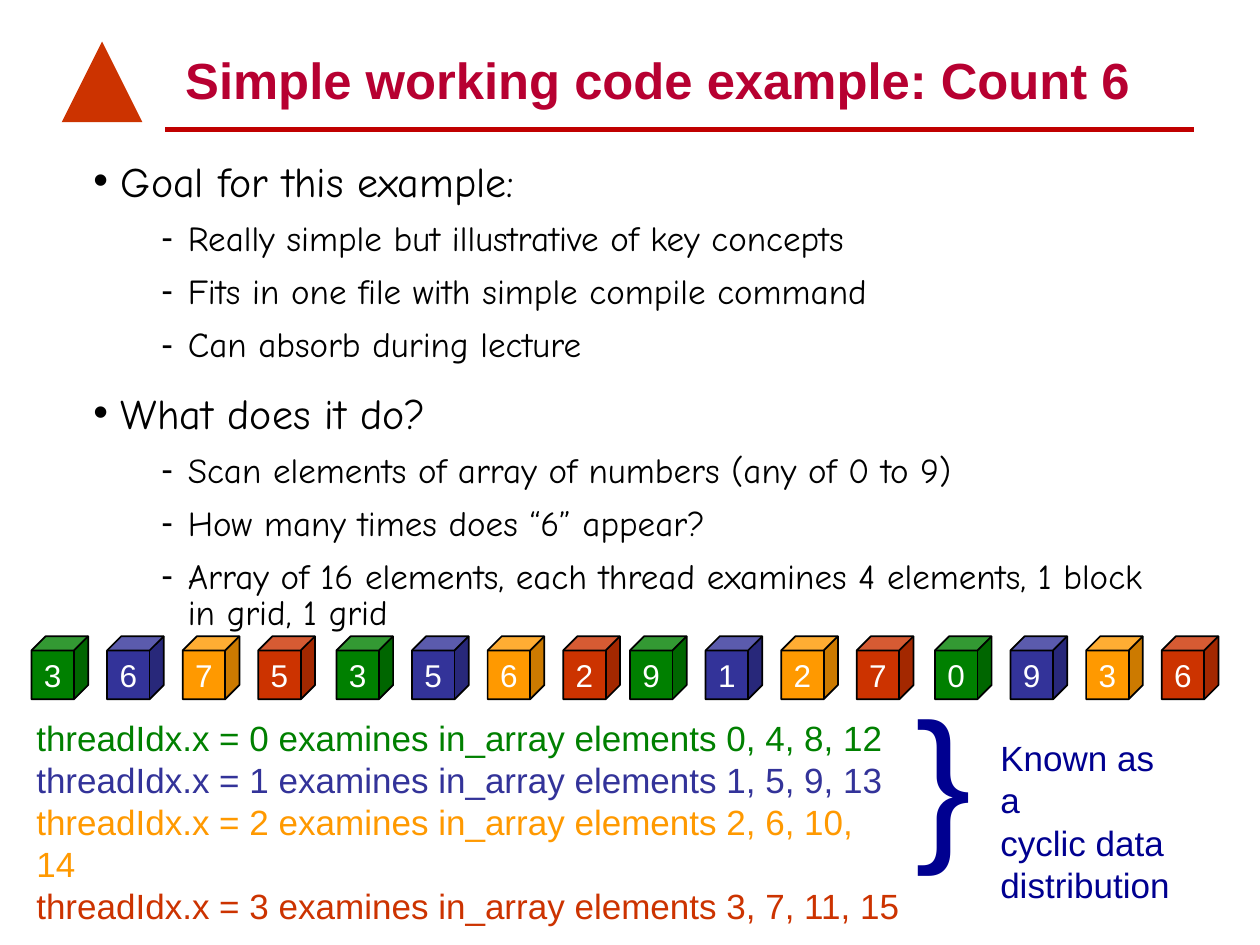
from lxml import etree
from pptx import Presentation
from pptx.dml.color import RGBColor
from pptx.enum.shapes import MSO_CONNECTOR, MSO_SHAPE
from pptx.enum.text import MSO_ANCHOR, MSO_AUTO_SIZE, PP_ALIGN
from pptx.oxml.ns import qn
from pptx.util import Inches, Pt

STRAIGHT = MSO_CONNECTOR.STRAIGHT
CUBE, TRIANGLE = MSO_SHAPE.CUBE, MSO_SHAPE.ISOSCELES_TRIANGLE
BOTTOM, MIDDLE, LEFT = MSO_ANCHOR.BOTTOM, MSO_ANCHOR.MIDDLE, PP_ALIGN.LEFT
GROW = MSO_AUTO_SIZE.SHAPE_TO_FIT_TEXT

THEME = {
    "sans": "Arial", "hand": "Comic Neue",
    "title": "B70031", "rule": "C00000", "emblem": "CC3300",
    "ink": "000000", "light": "FFFFFF", "note": "000090",
    "threads": ["008000", "333399", "FF9900", "CC3300"],
    "title_size": 29, "topic_size": 24, "point_size": 20,
    "label_size": 20, "cube_size": 18, "brace_size": 96,
}

prs = Presentation()
prs.slide_width, prs.slide_height = Inches(10), Inches(7.5)
COL, ROW = prs.slide_width / 40, prs.slide_height / 30
slide = prs.slides.add_slide(prs.slide_layouts[5])
shapes = slide.shapes


def area(left, top, width, height):
    """Turn grid columns and rows into slide lengths."""
    return int(left * COL), int(top * ROW), int(width * COL), int(height * ROW)


def style(paragraph, size, color, face=THEME["sans"], bold=False):
    paragraph.alignment = LEFT
    paragraph.font.name = face
    paragraph.font.size = Pt(size)
    paragraph.font.bold = bold
    paragraph.font.color.rgb = RGBColor.from_string(color)


# Header: plain emblem, rule and title
emblem = shapes.add_shape(TRIANGLE, *area(1.96, 1.32, 2.56, 2.56))
emblem.shadow.inherit = False
emblem.fill.solid()
emblem.fill.fore_color.rgb = RGBColor.from_string(THEME["emblem"])
emblem.line.fill.background()

rule_left, rule_top, rule_width, _ = area(5.24, 4.12, 32.68, 0)
rule = shapes.add_connector(STRAIGHT, rule_left, rule_top, rule_left + rule_width, rule_top)
rule.line.color.rgb = RGBColor.from_string(THEME["rule"])
rule.line.width = Pt(3)
etree.SubElement(rule._element.spPr, qn("a:effectLst"))

title = shapes.title
title.left, title.top, title.width, title.height = area(5.48, 1, 32, 2.68)
title.text_frame.text = "Simple working code example: Count 6"
title.text_frame.vertical_anchor = BOTTOM
style(title.text_frame.paragraphs[0], THEME["title_size"], THEME["title"], bold=True)

# Goals and task, as topics with points
outline = [
    ("Goal for this example:", [
        "Really simple but illustrative of key concepts",
        "Fits in one file with simple compile command",
        "Can absorb during lecture"]),
    ("What does it do?", [
        "Scan elements of array of numbers (any of 0 to 9)",
        "How many times does “6” appear?",
        "Array of 16 elements, each thread examines 4 elements, 1 block in grid, 1 grid"]),
]
# Per level: bullet, left margin, hanging indent, line spacing, space before, size
levels = [
    ("•", 0.22, 0.22, 0.75, 19.5, THEME["topic_size"]),
    ("-", 0.75, 0.21, 0.85, 10, THEME["point_size"]),
]
body = shapes.add_textbox(*area(2.68, 5.2, 35, 15)).text_frame
body.word_wrap = True
body.margin_left = body.margin_right = Inches(0.07)
body.margin_top = body.margin_bottom = Inches(0.03)
entries = [(level, text) for topic, points in outline
           for level, text in [(0, topic)] + [(1, point) for point in points]]
for i, (level, text) in enumerate(entries):
    bullet, margin, hanging, spacing, before, size = levels[level]
    entry = body.add_paragraph() if i else body.paragraphs[0]
    entry.text = text
    entry.level = level
    entry.line_spacing = spacing
    entry.space_before = Pt(before if i else 0)
    properties = entry._p.get_or_add_pPr()
    properties.set("marL", str(Inches(margin)))
    properties.set("indent", str(-Inches(hanging)))
    bullet_color = etree.SubElement(properties, qn("a:buClr"))
    etree.SubElement(bullet_color, qn("a:srgbClr"), val=THEME["ink"])
    etree.SubElement(properties, qn("a:buFont"), typeface=THEME["sans"])
    etree.SubElement(properties, qn("a:buChar"), char=bullet)
    style(entry, size, THEME["ink"], THEME["hand"])

# Array elements: four groups, one cube per thread in each
array_groups = [(1, "3675"), (10.68, "3562"), (20, "9127"), (29.68, "0936")]
for group_left, digits in array_groups:
    for thread, digit in enumerate(digits):
        cube = shapes.add_shape(CUBE, *area(group_left + 2.4 * thread, 20.2, 1.8, 2))
        cube.shadow.inherit = False
        cube.fill.solid()
        cube.fill.fore_color.rgb = RGBColor.from_string(THEME["threads"][thread])
        cube.line.color.rgb = RGBColor.from_string(THEME["ink"])
        cube.line.width = Pt(1)
        cube.text_frame.text = digit
        cube.text_frame.vertical_anchor = MIDDLE
        style(cube.text_frame.paragraphs[0], THEME["cube_size"], THEME["light"])

# Thread assignments, brace and remark
assigned = [", ".join(str(n) for n in range(thread, 16, 4)) for thread in range(4)]
assignments = [f"threadIdx.x = {thread} examines in_array elements {elements}"
               for thread, elements in enumerate(assigned)]
remark = ["Known as a", "cyclic data", "distribution"]
labels = [
    (area(0.76, 22.56, 28.28, 5.76), assignments, THEME["label_size"], THEME["threads"]),
    (area(28.68, 21.2, 2.56, 6.8), ["}"], THEME["brace_size"], [THEME["note"]]),
    (area(31.36, 23.2, 6.6, 4.4), remark, THEME["label_size"], [THEME["note"]] * 3),
]
for place, lines, size, colors in labels:
    label = shapes.add_textbox(*place).text_frame
    label.word_wrap = False
    label.auto_size = GROW
    label.text = "\n".join(lines)
    for line, color in zip(label.paragraphs, colors):
        style(line, size, color)

prs.save("out.pptx")
